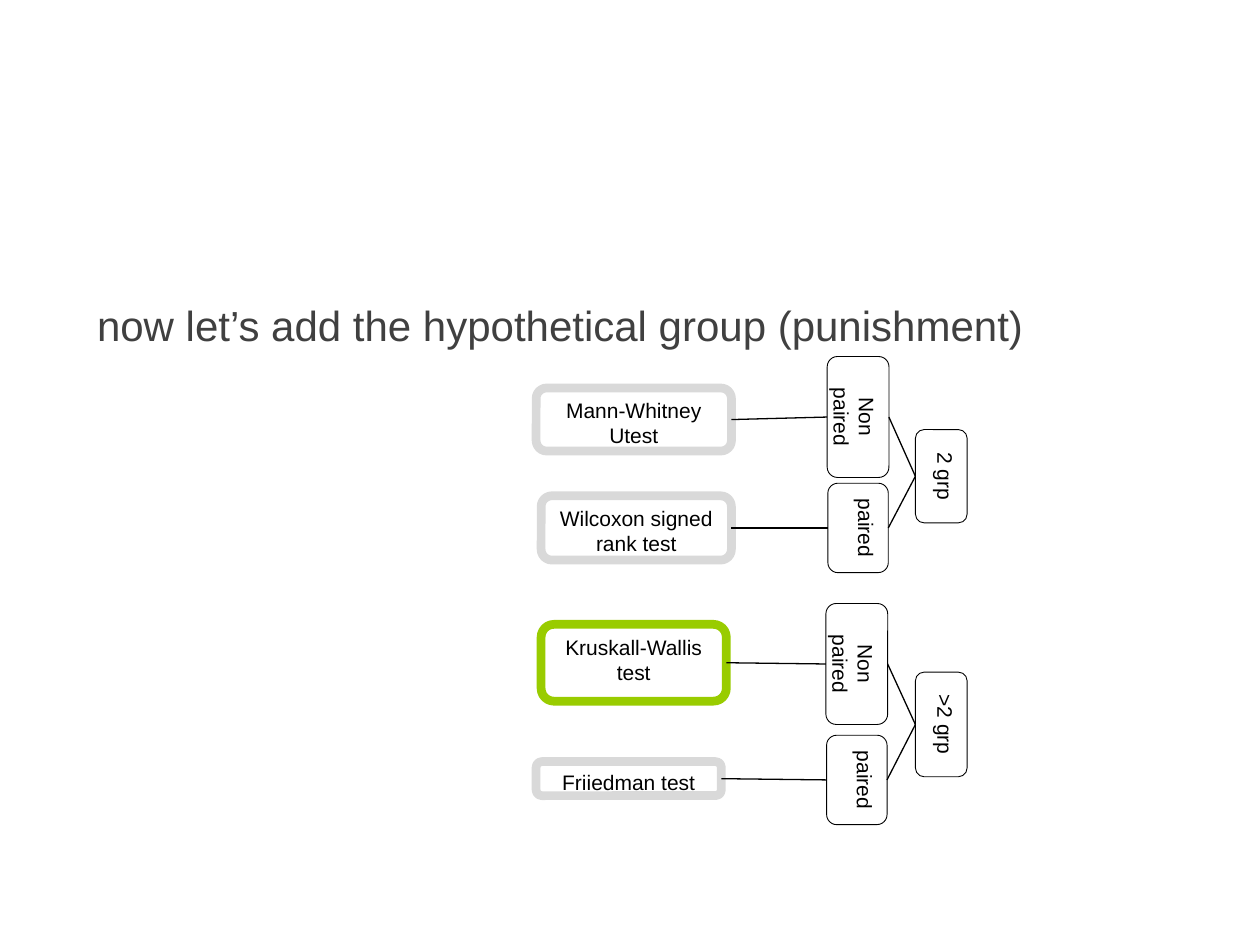
from dataclasses import dataclass

from lxml.etree import SubElement
from pptx import Presentation
from pptx.dml.color import RGBColor
from pptx.enum.shapes import MSO_CONNECTOR, MSO_SHAPE
from pptx.enum.text import MSO_ANCHOR, MSO_AUTO_SIZE, PP_ALIGN
from pptx.oxml.ns import qn
from pptx.shapes.autoshape import Shape
from pptx.slide import Slide
from pptx.util import Inches, Pt


@dataclass(frozen=True)
class Theme:
    font: str = "Arial"
    title: RGBColor = RGBColor(0x40, 0x40, 0x40)
    ink: RGBColor = RGBColor(0, 0, 0)
    paper: RGBColor = RGBColor(255, 255, 255)
    grey: RGBColor = RGBColor(0xD9, 0xD9, 0xD9)
    green: RGBColor = RGBColor(0x99, 0xCC, 0x00)
    head: int = 24
    label: int = 12
    thin: float = 0.5
    link: float = 0.75
    thick: float = 5


THEME = Theme()
TOP, BOTTOM, RIGHT = 0, 2, 3


@dataclass(frozen=True)
class Node:
    """A rounded box given by its centre and its size before turning."""
    text: str
    x: float
    y: float
    wide: float
    high: float
    turn: int = 90
    edge: RGBColor = THEME.ink
    weight: float = THEME.thin


@dataclass(frozen=True)
class Branch:
    group: Node
    pairs: tuple[tuple[Node, Node], ...]


def test(text: str, x: float, y: float, wide: float, high: float,
         edge: RGBColor = THEME.grey) -> Node:
    return Node(text, x, y, wide, high, 0, edge, THEME.thick)


# The decision tree, read from right to left
BRANCHES = (
    Branch(Node("2 grp", 7.47, 3.78, 0.74, 0.41), (
        (Node("Non paired", 6.81, 3.31, 0.96, 0.49),
         test("Mann-Whitney Utest", 5.03, 3.33, 1.55, 0.5)),
        (Node("paired", 6.81, 4.19, 0.71, 0.48),
         test("Wilcoxon signed rank test", 5.05, 4.19, 1.51, 0.51)),
    )),
    Branch(Node(">2 grp", 7.47, 5.75, 0.83, 0.41), (
        (Node("Non paired", 6.8, 5.27, 0.96, 0.49),
         test("Kruskall-Wallis test", 5.03, 5.26, 1.47, 0.61, THEME.green)),
        (Node("paired", 6.8, 6.19, 0.71, 0.48),
         test("Friiedman test", 4.99, 6.18, 1.47, 0.27)),
    )),
)


def style(shape: Shape, size: int, color: RGBColor, align: PP_ALIGN) -> None:
    frame = shape.text_frame
    frame.word_wrap = True
    frame.auto_size = MSO_AUTO_SIZE.NONE
    frame.vertical_anchor = MSO_ANCHOR.TOP
    for para in frame.paragraphs:
        para.alignment = align
        for run in para.runs:
            run.font.name = THEME.font
            run.font.size = Pt(size)
            run.font.color.rgb = color


def draw(slide: Slide, node: Node) -> Shape:
    box = slide.shapes.add_shape(
        MSO_SHAPE.ROUNDED_RECTANGLE,
        Inches(node.x - node.wide / 2), Inches(node.y - node.high / 2),
        Inches(node.wide), Inches(node.high))
    box.rotation = node.turn
    box.shadow.inherit = False
    box.fill.solid()
    box.fill.fore_color.rgb = THEME.paper
    box.line.color.rgb = node.edge
    box.line.width = Pt(node.weight)
    box.text_frame.text = node.text
    style(box, THEME.label, THEME.ink, PP_ALIGN.CENTER)
    return box


def join(slide: Slide, start: Shape, end: Shape, site: int) -> None:
    """Link the left side of a turned box to the right side of the next."""
    line = slide.shapes.add_connector(MSO_CONNECTOR.STRAIGHT, 0, 0, 0, 0)
    line.begin_connect(start, BOTTOM)
    line.end_connect(end, site)
    # Joining ignores rotation, so place both ends on the turned sides
    reach = end.height if end.rotation else end.width
    line.begin_x = start.left + (start.width - start.height) // 2
    line.begin_y = start.top + start.height // 2
    line.end_x = end.left + (end.width + reach) // 2
    line.end_y = end.top + end.height // 2
    line.line.color.rgb = THEME.ink
    line.line.width = Pt(THEME.link)
    SubElement(line._element.spPr, qn("a:effectLst"))


def main() -> None:
    deck = Presentation()
    deck.slide_width, deck.slide_height = Inches(10), Inches(7.5)
    slide = deck.slides.add_slide(deck.slide_layouts[5])

    # Title
    title = slide.shapes.title
    title.left, title.top = Inches(0.67), Inches(2.33)
    title.width, title.height = Inches(9.08), Inches(2.12)
    title.text_frame.text = "now let’s add the hypothetical group (punishment)"
    style(title, THEME.head, THEME.title, PP_ALIGN.LEFT)

    # Boxes and their links
    for branch in BRANCHES:
        group = draw(slide, branch.group)
        for kind, name in branch.pairs:
            pair, leaf = draw(slide, kind), draw(slide, name)
            join(slide, group, pair, TOP)
            join(slide, pair, leaf, RIGHT)

    deck.save("out.pptx")


if __name__ == "__main__":
    main()
